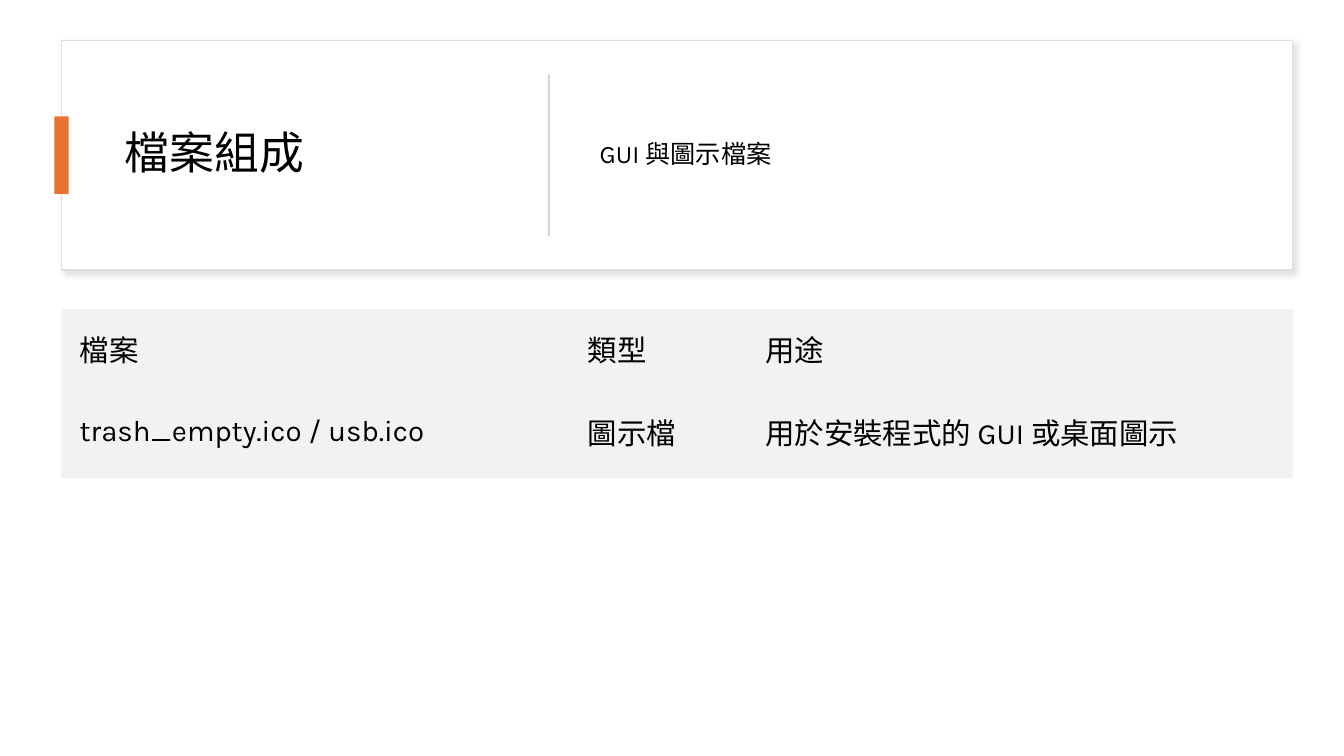
from lxml.etree import SubElement
from pptx import Presentation
from pptx.dml.color import RGBColor
from pptx.enum.shapes import MSO_SHAPE
from pptx.enum.text import MSO_ANCHOR
from pptx.oxml.ns import qn
from pptx.util import Inches, Pt

FONT = "Karla"
ROWS = [
    ("檔案", "類型", "用途"),
    ("trash_empty.ico / usb.ico", "圖示檔", "用於安裝程式的 GUI 或桌面圖示"),
]
COLUMN_WIDTHS = (5.04, 1.76, 5.41)
ROW_HEIGHTS = (0.66, 1.01)


def color(hex_code):
    return RGBColor.from_string(hex_code)


def style_text(frame, size, line_spacing=None):
    frame.word_wrap = True
    frame.vertical_anchor = MSO_ANCHOR.MIDDLE
    para = frame.paragraphs[0]
    if line_spacing:
        para.line_spacing = line_spacing
    for span in para.runs:
        span.font.name = FONT
        span.font.size = Pt(size)
        span.font.color.rgb = color("000000")


def add_block(slide, left, top, width, height, fill):
    block = slide.shapes.add_shape(
        MSO_SHAPE.RECTANGLE, *map(Inches, (left, top, width, height)))
    block.shadow.inherit = False
    block.fill.solid()
    block.fill.fore_color.rgb = color(fill)
    block.line.fill.background()
    return block


def add_label(slide, left, top, width, height, text, size):
    box = slide.shapes.add_textbox(*map(Inches, (left, top, width, height)))
    box.text_frame.text = text
    style_text(box.text_frame, size, 0.9)


def add_soft_shadow(shape):
    effects = shape._element.spPr.find(qn("a:effectLst"))
    shadow = SubElement(effects, qn("a:outerShdw"), blurRad=str(Pt(4)),
                        dist=str(Pt(3)), dir="2700000", algn="tl", rotWithShape="0")
    tint = SubElement(shadow, qn("a:srgbClr"), val="C5C5C5")
    SubElement(tint, qn("a:alpha"), val="50000")


def add_header(slide, left, top, width, height):
    # Card
    card = add_block(slide, left, top, width, height, "FFFFFF")
    card.line.color.rgb = color("DEDEDE")
    card.line.width = Pt(1)
    add_soft_shadow(card)

    # Accent on the left edge and divider, both centred on the card's height
    middle = top + height / 2
    for center, bar_width, bar_height, fill in (
            (left, 0.14, 0.77, "E97132"),
            (left + 0.396 * width, 0.02, 1.6, "D5D5D5")):
        add_block(slide, center - bar_width / 2, middle - bar_height / 2,
                  bar_width, bar_height, fill)

    # Title and subtitle
    text_height = 1.8
    text_top = middle - text_height / 2
    add_label(slide, left + 0.53, text_top, 3.89, text_height, "檔案組成", 32)
    add_label(slide, left + 5.24, text_top, 6.56, text_height, "GUI 與圖示檔案", 18)


def add_file_table(slide, left, top, width, height):
    frame = slide.shapes.add_table(
        len(ROWS), len(COLUMN_WIDTHS), *map(Inches, (left, top, width, height)))
    table = frame.table
    table.first_row = False
    table.horz_banding = False
    for column, share in zip(table.columns, COLUMN_WIDTHS):
        column.width = Inches(width * share / sum(COLUMN_WIDTHS))
    for row, share, texts in zip(table.rows, ROW_HEIGHTS, ROWS):
        row.height = Inches(height * share / sum(ROW_HEIGHTS))
        for cell, text in zip(row.cells, texts):
            cell.text_frame.text = text
            style_text(cell.text_frame, 21)
            cell.vertical_anchor = MSO_ANCHOR.MIDDLE
            cell.margin_left = cell.margin_right = cell.margin_top = Inches(0.18)
            cell.margin_bottom = Inches(0.09)
            cell.fill.solid()
            cell.fill.fore_color.rgb = color("F2F2F2")
            # Hide the grid lines of the default table style
            properties = cell._tc.get_or_add_tcPr()
            for position, side in enumerate(("lnL", "lnR", "lnT", "lnB")):
                border = SubElement(properties, qn(f"a:{side}"), w="0")
                SubElement(border, qn("a:noFill"))
                properties.insert(position, border)


def main():
    deck = Presentation()
    deck.slide_width, deck.slide_height = Inches(13.33), Inches(7.5)
    slide = deck.slides.add_slide(deck.slide_layouts[6])
    left, width = 0.61, 12.21
    add_header(slide, left, 0.4, width, 2.28)
    add_file_table(slide, left, 3.07, width, sum(ROW_HEIGHTS))
    deck.save("out.pptx")


if __name__ == "__main__":
    main()
